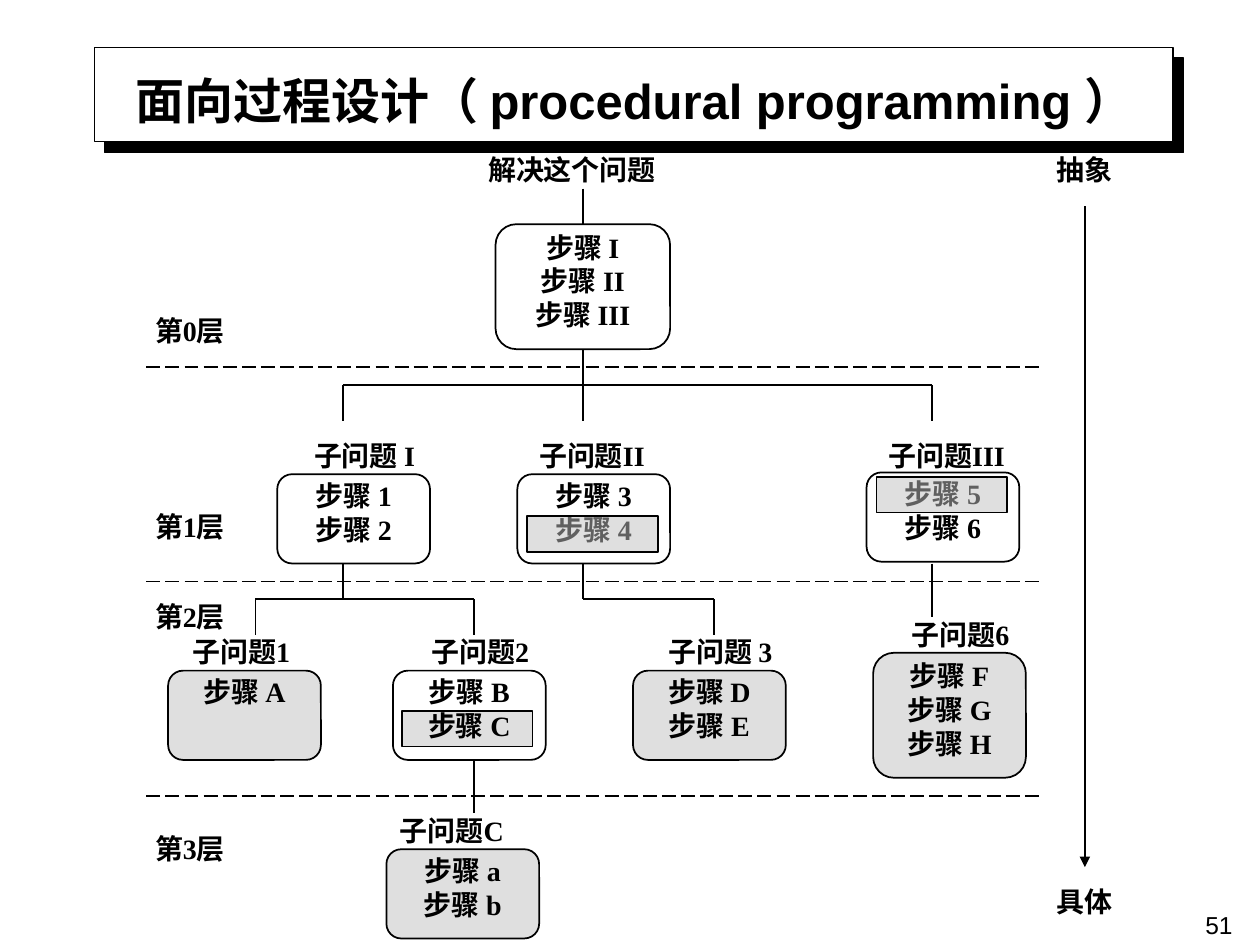
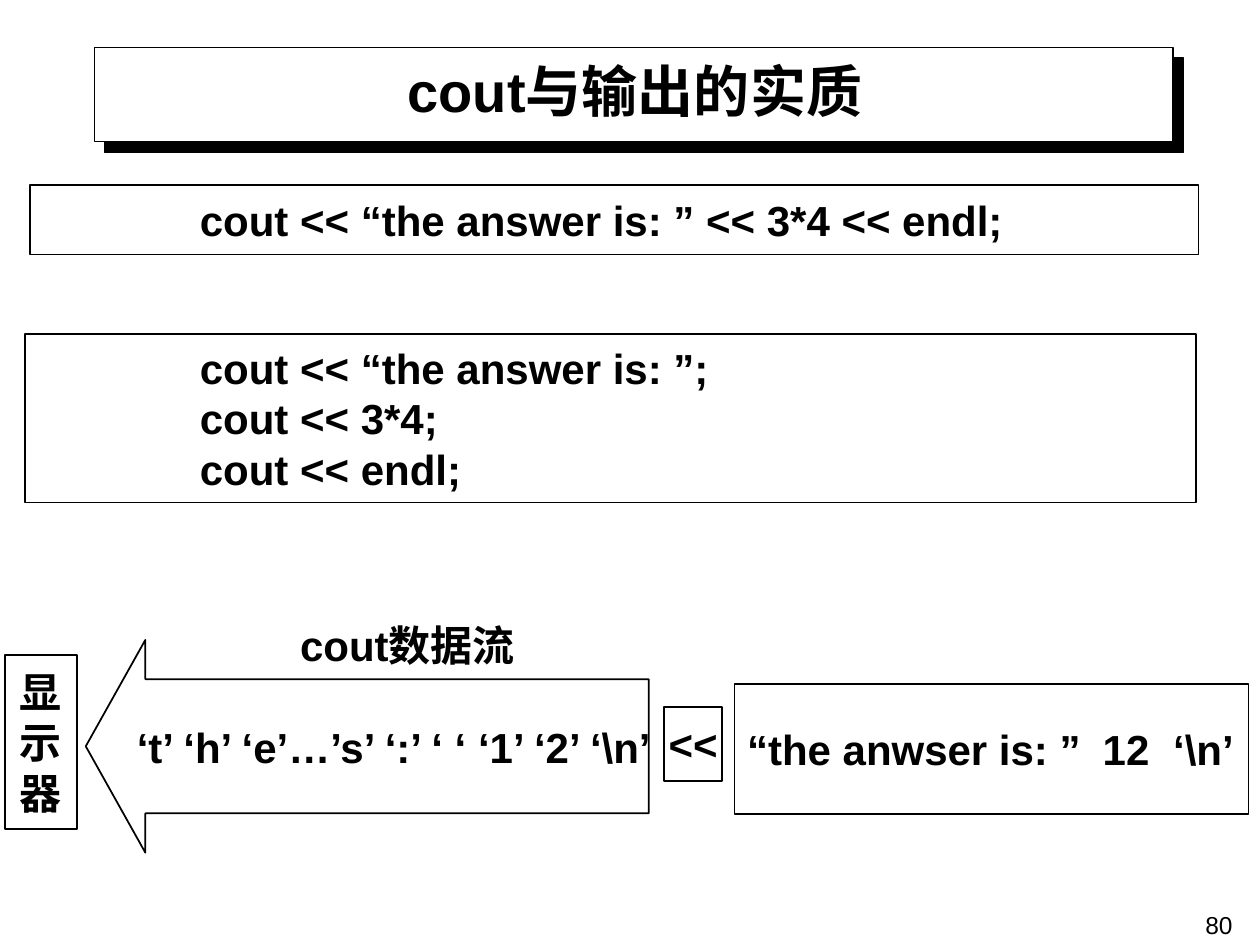
from dataclasses import dataclass

from lxml import etree
from pptx import Presentation
from pptx.dml.color import RGBColor
from pptx.enum.dml import MSO_LINE
from pptx.enum.shapes import MSO_CONNECTOR, MSO_SHAPE
from pptx.enum.text import MSO_ANCHOR, MSO_AUTO_SIZE, PP_ALIGN
from pptx.oxml.ns import qn
from pptx.util import Cm, Pt

LEFT, CENTER, RIGHT, JUSTIFY = PP_ALIGN.LEFT, PP_ALIGN.CENTER, PP_ALIGN.RIGHT, PP_ALIGN.JUSTIFY
TOP, MIDDLE = MSO_ANCHOR.TOP, MSO_ANCHOR.MIDDLE
RECTANGLE, ROUNDED, LEFT_ARROW = (
    MSO_SHAPE.RECTANGLE, MSO_SHAPE.ROUNDED_RECTANGLE, MSO_SHAPE.LEFT_ARROW)
STRAIGHT = MSO_CONNECTOR.STRAIGHT
TITLE_ONLY = 5


@dataclass(frozen=True)
class Theme:
    ink: RGBColor = RGBColor(0, 0, 0)
    paper: RGBColor = RGBColor(255, 255, 255)
    shade: RGBColor = RGBColor(0xC0, 0xC0, 0xC0)
    sans: str = "Arial"
    serif: str = "Times New Roman"
    tree_size: int = 16
    code_size: int = 24
    number_size: int = 14
    line: float = 1


THEME = Theme()

# Content: tree slide. Places are counted in grid columns and rows.
TREE_TITLE = "面向过程设计（ procedural programming ）"
TREE_LABELS = [  # text, column, row, columns wide
    ("解决这个问题", 15, 0, 9),
    ("抽象", 41, 0, 4),
    ("具体", 41, 41, 4),
    ("第0层", -1, 9, 6),
    ("第1层", -1, 20, 6),
    ("第2层", -1, 25, 6),
    ("第3层", -1, 38, 6),
]
ROOT_STEPS = ["步骤 I", "步骤 II", "步骤 III"]
SUBPROBLEMS = [  # name, alignment, name offset, box column, box row, shaded, steps
    ("子问题 I", CENTER, 1, 6, 18, False, ["步骤 1", "步骤 2"]),
    ("子问题II", JUSTIFY, 1, 17, 18, False, ["步骤 3", "步骤 4"]),
    ("子问题III", JUSTIFY, 1, 33, 17.9, False, ["步骤 5", "步骤 6"]),
    ("子问题1", CENTER, 0.35, 1, 29, True, ["步骤 A"]),
    ("子问题2", CENTER, 1, 11.3, 29, False, ["步骤 B", "步骤 C"]),
    ("子问题 3", CENTER, 1, 22.3, 29, True, ["步骤 D", "步骤 E"]),
    ("子问题6", CENTER, 1, 33.3, 28, True, ["步骤 F", "步骤 G", "步骤 H"]),
    ("子问题C", CENTER, 0, 11, 39, True, ["步骤 a", "步骤 b"]),
]
MARK_BEHIND = (11.7, 31.25)
MARKS_IN_FRONT = [(17.45, 20.35), (33.45, 18.15)]
BRANCHES = [  # from column, row to column, row
    (20, 2, 20, 4), (20, 11, 20, 15),
    (9, 13, 36, 13), (9, 13, 9, 15), (36, 13, 36, 15),
    (9, 23, 9, 25), (5, 25, 15, 25), (5, 25, 5, 27), (15, 25, 15, 27),
    (20, 23, 20, 25), (20, 25, 26, 25), (26, 25, 26, 27),
    (36, 23, 36, 26), (15, 34, 15, 37),
]
LEVEL_ROWS = [12, 24, 36]
ABSTRACTION_ARROW = (43, 3, 43, 40)

# Content: cout slide. Places are in centimetres.
COUT_TITLE = "cout与输出的实质"
CODE_LEFT = 4.03
CODE_BOXES = [  # left, top, width, height, lines
    (0.61, 3.73, 23.55, 1.4, ["cout << “the answer is: ” << 3*4 << endl;"]),
    (0.51, 6.73, 23.6, 3.4, ["cout << “the answer is: ”;", "cout << 3*4;", "cout << endl;"]),
]
STREAM_ARROW = (1.73, 12.9, 11.35, 4.29, ["‘t’ ‘h’ ‘e’…’s’ ‘:’ ‘ ‘ ‘1’ ‘2’ ‘\\n’"])
STREAM_BOXES = [
    (0.1, 13.21, 1.45, 3.5, ["显", "示", "器"]),
    (13.39, 14.25, 1.17, 1.5, ["<<"]),
]
STREAM_LABEL = (5.94, 12.29, 4.55, 1.42, ["cout数据流"])
DATA_BOX = (14.81, 13.79, 10.36, 2.62, ["“the anwser is: ”\t12\t‘\\n’"])
DATA_TABS = [7.17, 8.59]


def grid_x(column):
    return Cm(2.95 + 0.44 * column)


def grid_y(row):
    return Cm(3.08 + 0.36 * row)


def grid_box(column, row, columns, rows):
    return grid_x(column), grid_y(row), Cm(0.44 * columns), Cm(0.36 * rows)


def cm_box(left, top, width, height):
    return Cm(left), Cm(top), Cm(width), Cm(height)


def write(shape, lines, size, font=THEME.sans, bold=True, align=CENTER, anchor=MIDDLE,
          margins=(0.25, 0.13, 0.25, 0.13), wrap=False):
    frame = shape.text_frame
    frame.text = "\n".join(lines)
    frame.auto_size = MSO_AUTO_SIZE.NONE
    frame.word_wrap = wrap
    frame.vertical_anchor = anchor
    (frame.margin_left, frame.margin_top,
     frame.margin_right, frame.margin_bottom) = map(Cm, margins)
    for paragraph in frame.paragraphs:
        paragraph.alignment = align
        for run in paragraph.runs:
            run.font.name = font
            run.font.size = Pt(size)
            run.font.bold = bold
            run.font.color.rgb = THEME.ink


def write_tree(shape, lines, align=CENTER):
    write(shape, lines, THEME.tree_size, THEME.serif, align=align, anchor=TOP,
          margins=(0, 0, 0, 0), wrap=True)


def add_outline(slide, kind, place, shaded=False):
    """Add an outlined shape, empty or half-transparent grey."""
    shape = slide.shapes.add_shape(kind, *place)
    shape.shadow.inherit = False
    shape.line.color.rgb = THEME.ink
    shape.line.width = Pt(THEME.line)
    if shaded:
        shape.fill.solid()
        shape.fill.fore_color.rgb = THEME.shade
        color = shape.element.spPr.find(qn("a:solidFill")).find(qn("a:srgbClr"))
        etree.SubElement(color, qn("a:alpha"), val="50000")
    else:
        shape.fill.background()
    return shape


def add_grid_line(slide, x1, y1, x2, y2, dashed=False, arrow=False):
    connector = slide.shapes.add_connector(
        STRAIGHT, grid_x(x1), grid_y(y1), grid_x(x2), grid_y(y2))
    connector.line.color.rgb = THEME.ink
    connector.line.width = Pt(THEME.line)
    if dashed:
        connector.line.dash_style = MSO_LINE.LONG_DASH
    properties = connector.element.spPr
    if arrow:
        etree.SubElement(properties.find(qn("a:ln")), qn("a:tailEnd"), type="triangle")
    etree.SubElement(properties, qn("a:effectLst"))


def move_title_band_to_layout(slide):
    """Draw the band with its hard shadow and hand it to the slide's layout."""
    band = add_outline(slide, RECTANGLE, cm_box(1.9, 0.96, 21.75, 1.9))
    band.fill.solid()
    band.fill.fore_color.rgb = THEME.paper
    band.line.width = Pt(0.75)
    effects = band.element.spPr.find(qn("a:effectLst"))
    shadow = etree.SubElement(effects, qn("a:outerShdw"), blurRad="0",
                              dist=str(Pt(8.5)), dir="2700000", algn="ctr", rotWithShape="0")
    etree.SubElement(shadow, qn("a:srgbClr"), val=str(THEME.ink))
    band.element.nvSpPr.cNvPr.set("id", "99")
    slide.slide_layout.shapes.element.insert(2, band.element)


def add_slide(presentation, title, place, size, number):
    slide = presentation.slides.add_slide(presentation.slide_layouts[TITLE_ONLY])
    heading = slide.shapes.title
    heading.left, heading.top, heading.width, heading.height = cm_box(*place)
    write(heading, [title], size, wrap=True, margins=(0, 0.13, 0, 0.13))
    page = slide.shapes.add_textbox(*cm_box(19.18, 18.21, 5.92, 0.84))
    write(page, [number], THEME.number_size, bold=False, align=RIGHT, anchor=TOP, wrap=True)
    return slide


def add_tree_label(slide, text, column, row, columns, align=CENTER):
    label = slide.shapes.add_textbox(*grid_box(column, row, columns, 2))
    write_tree(label, [text], align)


def add_mark(slide, column, row):
    add_outline(slide, RECTANGLE, grid_box(column, row, 6, 2), shaded=True)


def add_steps(slide, column, row, columns, steps, shaded=False):
    rows = 7 if len(steps) > 2 else 5
    box = add_outline(slide, ROUNDED, grid_box(column, row, columns, rows), shaded)
    write_tree(box, steps)


def fill_tree_slide(slide):
    add_mark(slide, *MARK_BEHIND)
    add_steps(slide, 16, 4, 8, ROOT_STEPS)
    for name, align, offset, column, row, shaded, steps in SUBPROBLEMS:
        add_steps(slide, column, row, 7, steps, shaded)
        add_tree_label(slide, name, column + offset, round(row) - 2, 6, align)
    for mark in MARKS_IN_FRONT:
        add_mark(slide, *mark)
    for branch in BRANCHES:
        add_grid_line(slide, *branch)
    for row in LEVEL_ROWS:
        add_grid_line(slide, 0, row, 41, row, dashed=True)
    add_grid_line(slide, *ABSTRACTION_ARROW, arrow=True)
    for label in TREE_LABELS:
        add_tree_label(slide, *label)


def fill_cout_slide(slide):
    size = THEME.code_size
    for *place, lines in CODE_BOXES:
        box = add_outline(slide, RECTANGLE, cm_box(*place))
        write(box, lines, size, align=LEFT, wrap=True,
              margins=(CODE_LEFT - place[0], 0.13, 0.25, 0.13))

    *place, lines = STREAM_ARROW
    arrow = add_outline(slide, LEFT_ARROW, cm_box(*place))
    arrow.adjustments[0], arrow.adjustments[1] = 0.63, 0.28
    write(arrow, lines, size, margins=(0.45, 0.13, 0.13, 0.13))

    for *place, lines in STREAM_BOXES:
        write(add_outline(slide, RECTANGLE, cm_box(*place)), lines, size)

    *place, lines = STREAM_LABEL
    write(slide.shapes.add_textbox(*cm_box(*place)), lines, size)

    *place, lines = DATA_BOX
    data = add_outline(slide, RECTANGLE, cm_box(*place))
    data.text_frame.text = lines[0]
    write(data, lines, size, align=LEFT, wrap=True, margins=(0.25, 0.13, 0, 0.13))
    properties = data.text_frame.paragraphs[0]._p.get_or_add_pPr()
    tabs = etree.SubElement(properties, qn("a:tabLst"))
    for position in DATA_TABS:
        etree.SubElement(tabs, qn("a:tab"), pos=str(Cm(position)), algn="l")


def main():
    presentation = Presentation()
    presentation.slide_width, presentation.slide_height = Cm(25.4), Cm(19.05)
    tree = add_slide(presentation, TREE_TITLE, (2.1, 1.12, 21.4, 1.8), 28, "51")
    move_title_band_to_layout(tree)
    fill_tree_slide(tree)
    cout = add_slide(presentation, COUT_TITLE, (1.9, 0.91, 21.8, 1.8), 32, "80")
    fill_cout_slide(cout)
    presentation.save("out.pptx")


if __name__ == "__main__":
    main()
